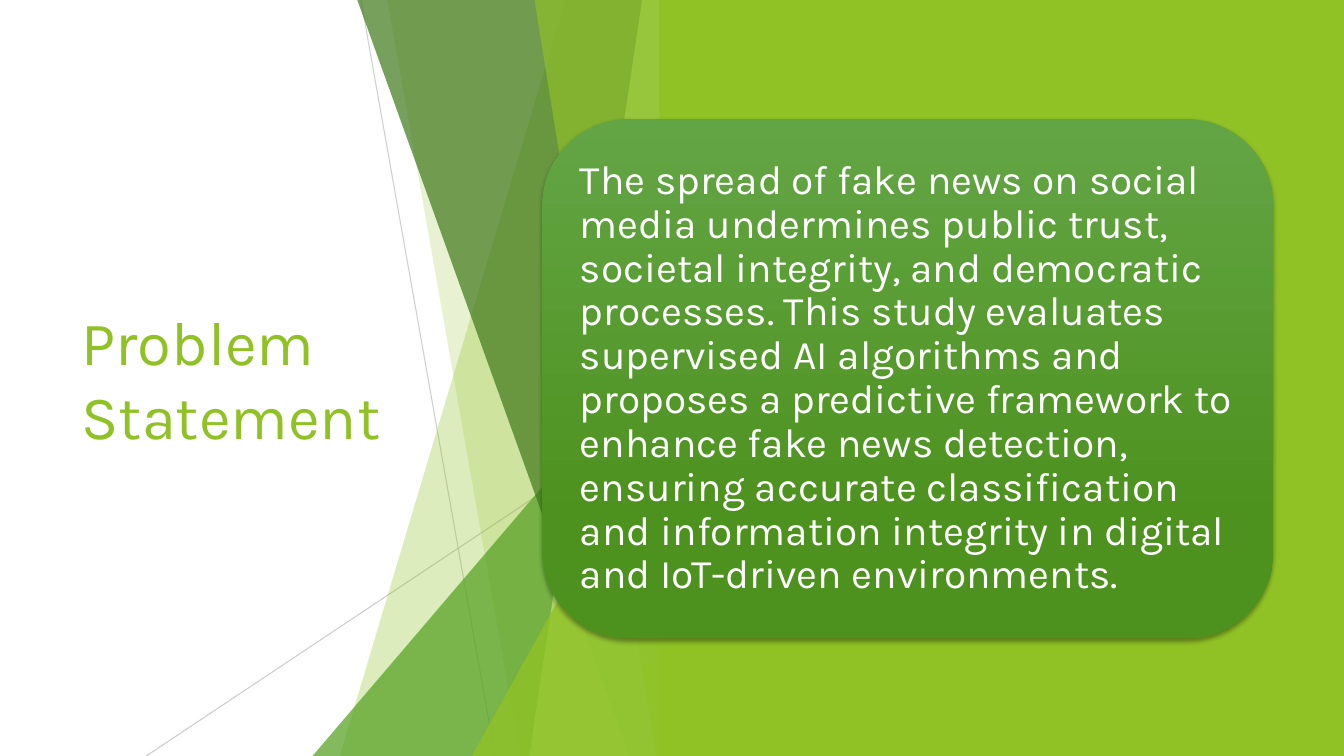
from dataclasses import dataclass

from lxml import etree
from pptx import Presentation
from pptx.dml.color import RGBColor
from pptx.enum import shapes, text
from pptx.oxml import ns
from pptx.util import Inches, Pt

TITLE = "Problem Statement"
BODY = (
    "The spread of fake news on social media undermines public trust, societal "
    "integrity, and democratic processes. This study evaluates supervised AI "
    "algorithms and proposes a predictive framework to enhance fake news detection, "
    "ensuring accurate classification and information integrity in digital and "
    "IoT-driven environments."
)


@dataclass(frozen=True)
class Theme:
    font: str = "Karla"
    title_size: int = 44
    body_size: int = 29
    lime: str = "90C226"
    green: str = "54A021"
    forest: str = "3F7819"
    pale: str = "C0E474"
    grey: str = "BFBFBF"
    white: str = "FFFFFF"
    card_top: str = "63A545"
    card_bottom: str = "4D921E"


T = Theme()
WIDTH, HEIGHT = 13.33, 7.5
FACET_TOP, FACET_RIGHT = -0.01, 6.66

# from x, from y, to x, to y, opacity %
RAYS = [(3.58, 0, 4.91, HEIGHT, 75), (FACET_RIGHT, 4.03, 1.45, HEIGHT, 80)]
# Back to front. Band: top-left x, bottom-left x; triangle: left, top
FACETS = [
    ("band", 5.61, 3.37, T.lime, 30),
    ("band", 3.84, 5.16, T.lime, 20),
    ("triangle", 3.10, 3.33, T.green, 72),
    ("band", 3.54, 6.24, T.forest, 70),
    ("band", 6.37, 5.25, T.pale, 70),
    ("band", 5.30, 6.51, T.lime, 65),
    ("triangle", 4.68, 3.93, T.lime, 80),
]
PANEL_LEFT = 6.54
TITLE_BOX = (0.71, 1.51, 3.88, 4.48)
CARD_BOX = (5.38, 1.18, 7.25, 5.15)
CARD_INSET = 0.12


def rgb(color):
    return RGBColor.from_string(color)


def inches(values):
    return [Inches(v) for v in values]


def set_alpha(sp, percent):
    clr = next(sp._element.spPr.iter(ns.qn("a:srgbClr")))
    etree.SubElement(clr, ns.qn("a:alpha")).set("val", str(percent * 1000))


def fill_plain(sp, color):
    sp.shadow.inherit = False
    sp.fill.solid()
    sp.fill.fore_color.rgb = rgb(color)
    sp.line.fill.background()


def add_ray(group, x1, y1, x2, y2, opacity):
    ray = group.shapes.add_connector(
        shapes.MSO_CONNECTOR.STRAIGHT, *inches((x1, y1, x2, y2)))
    ray.line.color.rgb = rgb(T.grey)
    ray.line.width = Pt(0.75)
    set_alpha(ray, opacity)
    etree.SubElement(ray._element.spPr, ns.qn("a:effectLst"))


def add_facet(group, kind, a, b, color, opacity):
    if kind == "band":
        corners = [(a, FACET_TOP), (FACET_RIGHT, FACET_TOP),
                   (FACET_RIGHT, HEIGHT), (b, HEIGHT)]
        start, *others = [inches(corner) for corner in corners]
        builder = group.shapes.build_freeform(*start)
        builder.add_line_segments(others, close=True)
        sp = builder.convert_to_shape()
    else:
        sp = group.shapes.add_shape(
            shapes.MSO_SHAPE.ISOSCELES_TRIANGLE,
            *inches((a, b, FACET_RIGHT - a, HEIGHT - b)))
        sp.adjustments[0] = 1
    fill_plain(sp, color)
    set_alpha(sp, opacity)


def write(sp, content, size, color):
    tf = sp.text_frame
    tf.text = content
    tf.word_wrap = True
    tf.auto_size = text.MSO_AUTO_SIZE.NONE
    tf.vertical_anchor = text.MSO_ANCHOR.MIDDLE
    p = tf.paragraphs[0]
    p.alignment = text.PP_ALIGN.LEFT
    font = p.runs[0].font
    font.name, font.size, font.color.rgb = T.font, Pt(size), rgb(color)
    return tf


def add_card(s):
    card = s.shapes.add_shape(shapes.MSO_SHAPE.ROUNDED_RECTANGLE, *inches(CARD_BOX))
    fill_plain(card, T.card_top)
    card.fill.gradient()
    card.fill.gradient_angle = 270
    stops = ((0, T.card_top), (0.78, T.card_bottom))
    for stop, (position, color) in zip(card.fill.gradient_stops, stops):
        stop.position = position
        stop.color.rgb = rgb(color)

    effects = card._element.spPr.find(ns.qn("a:effectLst"))
    shadow = etree.SubElement(
        effects, ns.qn("a:outerShdw"), blurRad=str(Pt(3)), dist=str(Pt(2)),
        dir="5400000", rotWithShape="0")
    clr = etree.SubElement(shadow, ns.qn("a:srgbClr"), val="000000")
    etree.SubElement(clr, ns.qn("a:alpha"), val="35000")

    tf = write(card, BODY, T.body_size, T.white)
    tf.margin_left = tf.margin_right = Inches(CARD_INSET)
    tf.margin_top = tf.margin_bottom = Inches(CARD_INSET)
    tf.paragraphs[0].line_spacing = 0.9


def main():
    prs = Presentation()
    prs.slide_width, prs.slide_height = inches((WIDTH, HEIGHT))
    s = prs.slides.add_slide(prs.slide_layouts[5])

    title = s.shapes.title
    title.left, title.top, title.width, title.height = inches(TITLE_BOX)
    write(title, TITLE, T.title_size, T.lime)

    facets = s.shapes.add_group_shape()
    for ray in RAYS:
        add_ray(facets, *ray)
    for facet in FACETS:
        add_facet(facets, *facet)

    panel = s.shapes.add_shape(
        shapes.MSO_SHAPE.RECTANGLE, *inches((PANEL_LEFT, 0, WIDTH - PANEL_LEFT, HEIGHT)))
    fill_plain(panel, T.lime)
    add_card(s)
    prs.save("out.pptx")


if __name__ == "__main__":
    main()
